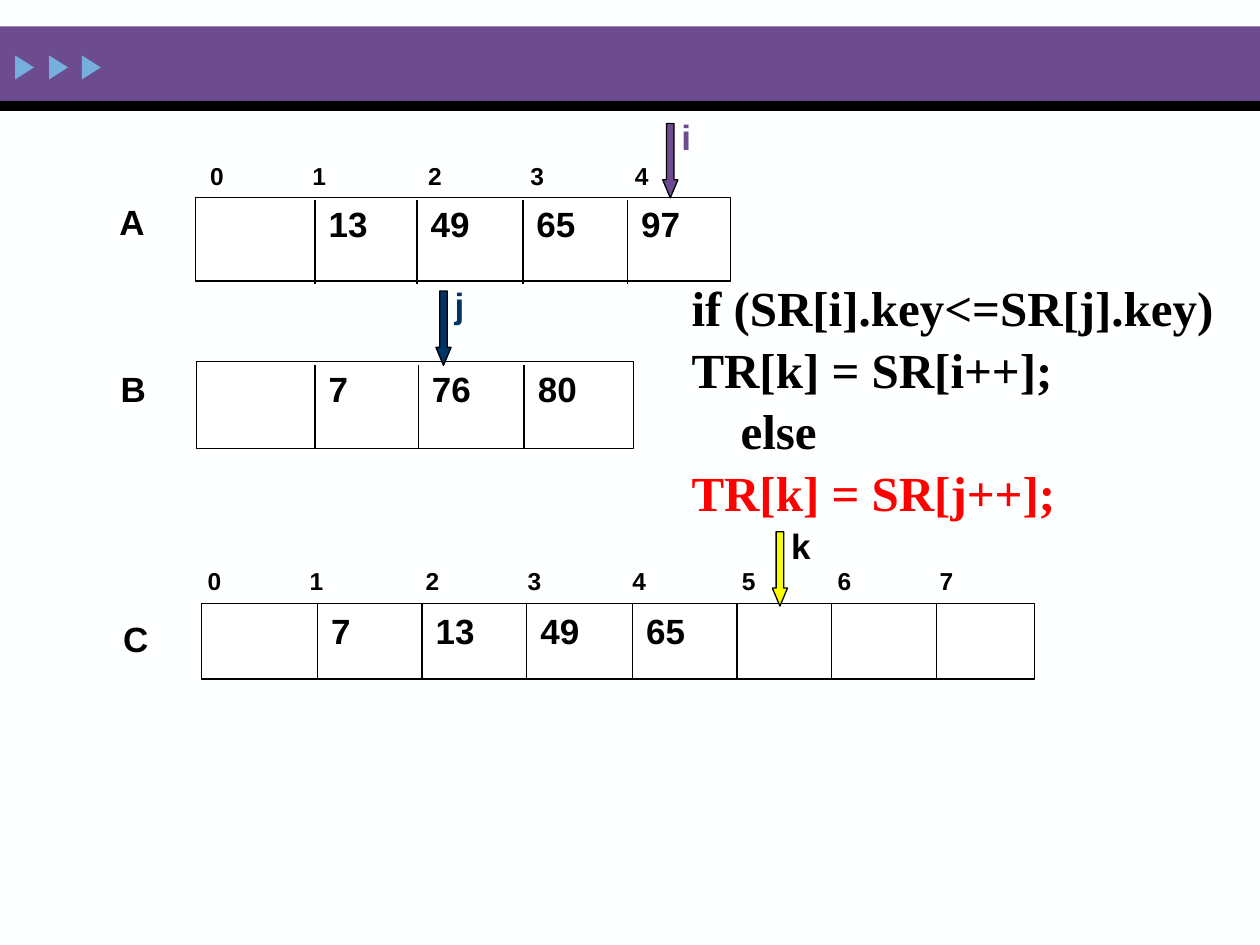
"""Build the slide that merges sorted arrays A and B into array C."""
from lxml.etree import SubElement
from pptx import Presentation
from pptx.dml.color import RGBColor
from pptx.enum.shapes import MSO_CONNECTOR, MSO_SHAPE
from pptx.oxml.ns import qn
from pptx.util import Inches, Pt

BLACK = RGBColor(0x00, 0x00, 0x00)
WHITE = RGBColor(0xFF, 0xFF, 0xFF)
PAPER = RGBColor(0xFE, 0xFF, 0xFF)
PURPLE = RGBColor(0x6C, 0x4C, 0x8F)
SKY = RGBColor(0x76, 0xAE, 0xDD)
NAVY = RGBColor(0x00, 0x33, 0x66)
YELLOW = RGBColor(0xFA, 0xFD, 0x00)
RED = RGBColor(0xFF, 0x00, 0x00)

presentation = Presentation()
presentation.slide_width = Inches(10)
presentation.slide_height = Inches(7.5)
slide = presentation.slides.add_slide(presentation.slide_layouts[6])
slide.background.fill.solid()
slide.background.fill.fore_color.rgb = PAPER


def add_text(text, left, top, width=0.67, height=0.43, size=20, font="Arial",
             color=BLACK, tabs=(), spacing=1.0):
    box = slide.shapes.add_textbox(Inches(left), Inches(top), Inches(width), Inches(height))
    frame = box.text_frame
    frame.word_wrap = True
    frame.text = text
    for paragraph in frame.paragraphs:
        if tabs:
            tab_list = SubElement(paragraph._p.get_or_add_pPr(), qn("a:tabLst"))
            for stop in tabs:
                SubElement(tab_list, qn("a:tab"), pos=str(Inches(stop)), algn="l")
        paragraph.line_spacing = spacing
        for run in paragraph.runs:
            run.font.name = font
            run.font.size = Pt(size)
            run.font.bold = True
            run.font.color.rgb = color
    return frame


def add_shape(kind, left, top, width, height, fill, outlined=False):
    shape = slide.shapes.add_shape(kind, Inches(left), Inches(top), Inches(width), Inches(height))
    shape.shadow.inherit = False
    shape.fill.solid()
    shape.fill.fore_color.rgb = fill
    if outlined:
        shape.line.color.rgb = BLACK
        shape.line.width = Pt(0.75)
    else:
        shape.line.fill.background()
    return shape


add_shape(MSO_SHAPE.RECTANGLE, 0, 0.21, 10, 0.59, PURPLE)
add_shape(MSO_SHAPE.RECTANGLE, 0, 0.8, 10, 0.08, BLACK)
for left in (0.1, 0.37, 0.63):
    triangle = add_shape(MSO_SHAPE.ISOSCELES_TRIANGLE, left, 0.46, 0.19, 0.15, SKY)
    triangle.rotation = 90

arrays = [
    ("A", (0.85, 1.54), (1.55, 1.57, 4.25, 0.66), (1.59, 2.25),
     (2.5, 3.31, 4.15, 4.98), ("13", "49", "65", "97"), 1.56),
    ("B", (0.86, 2.87), (1.56, 2.87, 3.47, 0.69), (2.9, 3.56),
     (2.5, 3.32, 4.16), ("7", "76", "80"), 2.87),
    ("C", (0.88, 4.85), (1.6, 4.79, 6.61, 0.6), (4.79, 5.4),
     (2.52, 3.35, 4.18, 5.02, 5.85, 6.6, 7.43), ("7", "13", "49", "65"), 4.79),
]
for name, name_position, frame_box, (line_top, line_bottom), dividers, values, value_top in arrays:
    add_text(name, *name_position)
    add_shape(MSO_SHAPE.RECTANGLE, *frame_box, WHITE, outlined=True)
    for x in dividers:
        divider = slide.shapes.add_connector(
            MSO_CONNECTOR.STRAIGHT, Inches(x), Inches(line_top), Inches(x), Inches(line_bottom))
        divider.line.color.rgb = BLACK
        divider.line.width = Pt(0.75)
        SubElement(divider._element.spPr, qn("a:effectLst"))
    for x, value in zip(dividers, values):
        add_text(value, x + 0.01, value_top)

index_tabs = (0.81, 1.73, 2.54, 3.37, 4.24, 5, 5.81)
for count, left, top, width in ((5, 1.57, 1.23, 4.25), (8, 1.55, 4.44, 6.66)):
    add_text("\t".join(str(index) for index in range(count)), left, top, width, 0.33,
             size=14, tabs=index_tabs[:count - 1])

pointers = [
    ("i", 5.26, 0.98, PURPLE, PURPLE),
    ("j", 3.46, 2.31, NAVY, NAVY),
    ("k", 6.13, 4.22, YELLOW, BLACK),
]
for name, left, top, fill, color in pointers:
    arrow = add_shape(MSO_SHAPE.DOWN_ARROW, left, top, 0.12, 0.59, fill, outlined=True)
    arrow.adjustments[0] = 0.5
    arrow.adjustments[1] = 1.19
    add_text(name, left + 0.05, top - 0.11, width=0.53, color=color)

code = add_text("if (SR[i].key<=SR[j].key) TR[k] = SR[i++];\nelse\nTR[k] = SR[j++];",
                5.39, 2.13, 4.6, 2.17, size=28, font="Times New Roman", spacing=1.05)
code.paragraphs[1]._p.get_or_add_pPr().set("marL", str(Inches(0.39)))
code.paragraphs[2].runs[0].font.color.rgb = RED

presentation.save("out.pptx")
